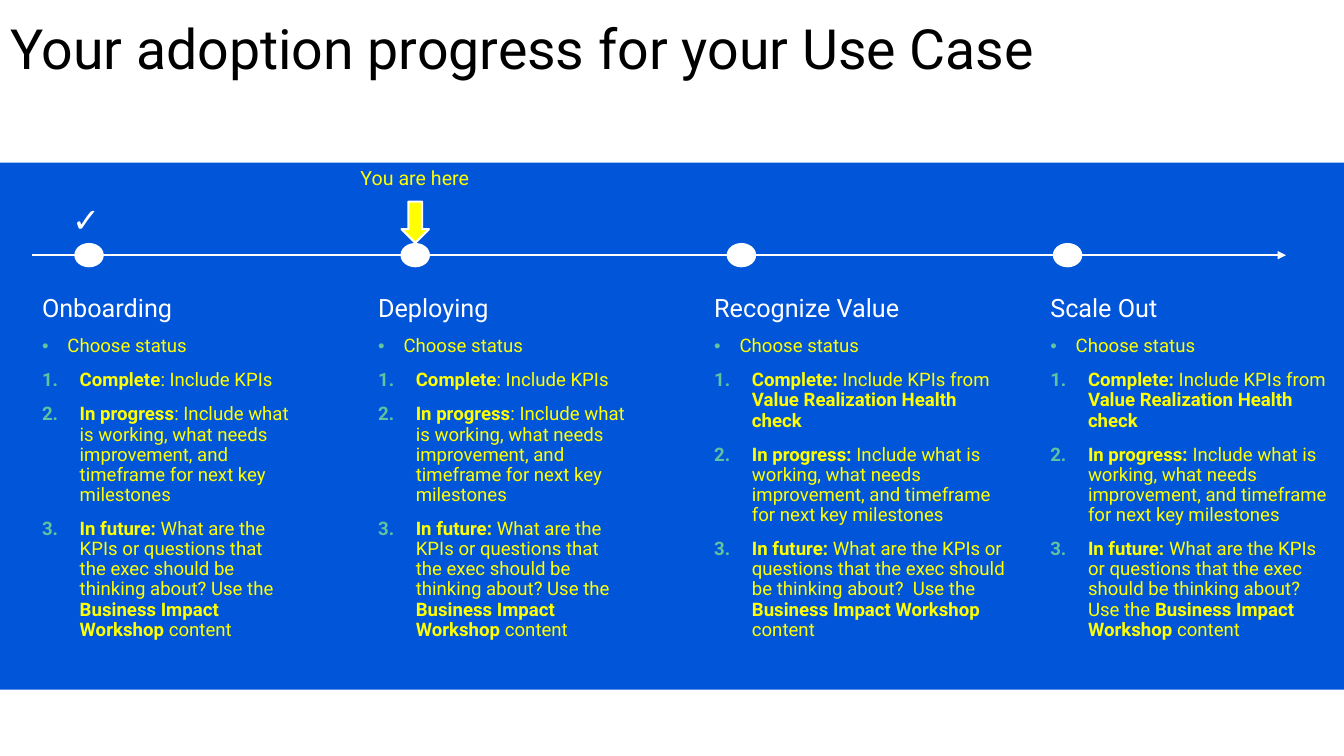
from dataclasses import dataclass

from lxml.etree import SubElement
from pptx import Presentation
from pptx.dml.color import RGBColor
from pptx.enum.shapes import MSO_CONNECTOR as Connector, MSO_SHAPE as Preset
from pptx.enum.text import MSO_ANCHOR as Anchor, MSO_AUTO_SIZE as AutoSize, PP_ALIGN as Align
from pptx.oxml.ns import qn
from pptx.util import Cm, Pt

COLORS = {"band": "0055D9", "white": "FFFFFF", "yellow": "FFFF00",
          "bullet": "61C29F", "title": "000000"}
FONT = "Roboto"
COLUMN_LEFT, COLUMN_PITCH = 0.81, 8.47
DOT_LEFT, DOT_PITCH = 1.9, 8.22
LINE_Y = 6.43


@dataclass
class Stage:
    name: str
    width: float
    items: list[str]


# Bold passages stand between double asterisks
EARLY_ITEMS = [
    "**Complete**: Include KPIs",
    "**In progress**: Include what is working, what needs improvement, "
    "and timeframe for next key milestones",
    "**In future: **What are the KPIs or questions that the exec should be "
    "thinking about? Use the **Business Impact Workshop **content",
]
LATE_ITEMS = [
    "**Complete: **Include KPIs from **Value Realization Health check**",
    "**In progress: **Include what is working, what needs improvement, "
    "and timeframe for next key milestones",
    "**In future: **What are the KPIs or questions that the exec should be "
    "thinking about?  Use the **Business Impact Workshop **content",
]
STAGES = [
    Stage("Onboarding", 6.81, EARLY_ITEMS),
    Stage("Deploying", 6.81, EARLY_ITEMS),
    Stage("Recognize Value", 7.92, LATE_ITEMS),
    Stage("Scale Out", 7.65, LATE_ITEMS),
]


def rgb(color: str) -> RGBColor:
    return RGBColor.from_string(COLORS[color])


def write(para, text: str, size: float, color: str) -> None:
    for index, part in enumerate(text.split("**")):
        if part:
            span = para.add_run()
            span.text = part
            span.font.name = FONT
            span.font.size = Pt(size)
            span.font.bold = index % 2 == 1
            span.font.color.rgb = rgb(color)


def add_label(slide, place: tuple, text: str, size: float, color: str, align: Align) -> None:
    frame = slide.shapes.add_textbox(*map(Cm, place)).text_frame
    frame.word_wrap = False
    frame.auto_size = AutoSize.SHAPE_TO_FIT_TEXT
    frame.paragraphs[0].alignment = align
    write(frame.paragraphs[0], text, size, color)


def add_preset(slide, preset: Preset, place: tuple, fill: str, outlined: bool = True) -> None:
    shape = slide.shapes.add_shape(preset, *map(Cm, place))
    shape.shadow.inherit = False
    shape.fill.solid()
    shape.fill.fore_color.rgb = rgb(fill)
    if outlined:
        shape.line.color.rgb = rgb("white")
        shape.line.width = Pt(1.5)
    else:
        shape.line.fill.background()


def set_bullet(para, indent: float, tag: str, **attributes: str) -> None:
    properties = para._p.get_or_add_pPr()
    properties.set("marL", str(Cm(indent)))
    properties.set("indent", str(-Cm(indent)))
    color = SubElement(properties, qn("a:buClr"))
    SubElement(color, qn("a:srgbClr"), val=COLORS["bullet"])
    SubElement(properties, qn("a:buFont"), typeface="Arial" if tag == "a:buChar" else FONT)
    SubElement(properties, qn(tag), **attributes)


def add_stage(slide, left: float, stage: Stage) -> None:
    box = slide.shapes.add_textbox(Cm(left), Cm(7.32), Cm(stage.width), Cm(12.04))
    frame = box.text_frame
    frame.word_wrap = True
    for index, text in enumerate([stage.name, "Choose status", *stage.items]):
        para = frame.add_paragraph() if index else frame.paragraphs[0]
        para.line_spacing = 0.9
        para.space_before = Pt(10)
        if index == 0:
            write(para, text, 18, "white")
            continue
        if index == 1:
            set_bullet(para, 0.64, "a:buChar", char="•")
        else:
            set_bullet(para, 0.95, "a:buAutoNum", type="arabicPeriod")
        write(para, text, 13.3, "yellow")


def add_timeline(slide) -> None:
    line = slide.shapes.add_connector(
        Connector.STRAIGHT, Cm(0.81), Cm(LINE_Y), Cm(32.41), Cm(LINE_Y))
    line.line.color.rgb = rgb("white")
    line.line.width = Pt(1.5)
    SubElement(line.line._get_or_add_ln(), qn("a:tailEnd"), type="triangle")
    SubElement(line._element.spPr, qn("a:effectLst"))
    for index in range(len(STAGES)):
        place = (DOT_LEFT + index * DOT_PITCH, 6.15, 0.69, 0.56)
        add_preset(slide, Preset.OVAL, place, "white")


def main() -> None:
    deck = Presentation()
    deck.slide_width, deck.slide_height = Cm(33.87), Cm(19.05)
    slide = deck.slides.add_slide(deck.slide_layouts[5])

    # Title
    title = slide.shapes.title
    title.left, title.top, title.width, title.height = map(Cm, (0, -0.18, 28.42, 2.97))
    frame = title.text_frame
    frame.auto_size = AutoSize.NONE
    frame.vertical_anchor = Anchor.MIDDLE
    frame.paragraphs[0].alignment = Align.LEFT
    frame.paragraphs[0].line_spacing = 0.9
    write(frame.paragraphs[0], "Your adoption progress for your Use Case", 39.6, "title")

    # Blue band and stage columns
    add_preset(slide, Preset.RECTANGLE, (0, 4.1, 33.87, 13.28), "band", outlined=False)
    for index, stage in enumerate(STAGES):
        add_stage(slide, COLUMN_LEFT + index * COLUMN_PITCH, stage)

    # Timeline with progress markers
    add_timeline(slide)
    add_preset(slide, Preset.DOWN_ARROW, (10.12, 5.08, 0.69, 1.04), "yellow")
    add_label(slide, (8.79, 4.06, 3.33, 0.86), "You are here", 14, "yellow", Align.CENTER)
    add_label(slide, (1.57, 4.88, 1.3, 1.27), "**✓**", 24, "white", Align.LEFT)

    deck.save("out.pptx")


if __name__ == "__main__":
    main()
